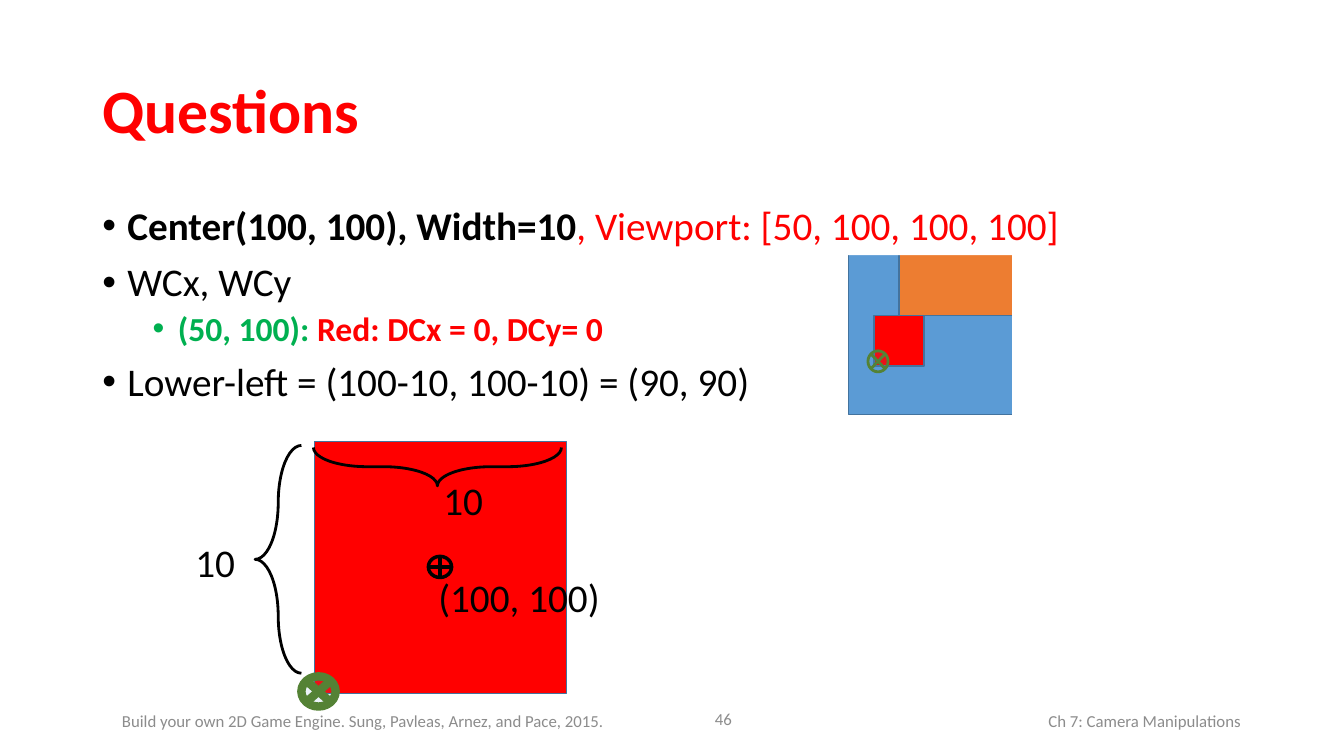
from lxml import etree
from pptx import Presentation
from pptx import util as u
from pptx.dml import color
from pptx.enum import shapes, text
from pptx.oxml import ns

COLORS = {
    "red": "FF0000", "blue": "5B9BD5", "orange": "ED7D31", "edge": "43739E",
    "white": "FFFFFF", "black": "000000", "green": "00B050",
    "marker": "548235", "footer": "8C8C8C",
}


class SlideBuilder:
    """Draws styled elements on one slide, with lengths in points."""

    font = "Calibri"

    def __init__(self, slide):
        self.slide = slide

    def shape(self, kind, box, fill=None, line=None, width=1, alpha=None,
              rotation=0, adjustments=()):
        shape = self.slide.shapes.add_shape(kind, *map(u.Pt, box))
        shape.shadow.inherit = False
        shape.rotation = rotation
        for index, value in enumerate(adjustments):
            shape.adjustments[index] = value
        if fill:
            shape.fill.solid()
            shape.fill.fore_color.rgb = color.RGBColor.from_string(COLORS[fill])
        else:
            shape.fill.background()
        if alpha:
            fill_color = shape.fill._xPr.find(".//" + ns.qn("a:srgbClr"))
            etree.SubElement(fill_color, ns.qn("a:alpha"), val=str(alpha * 1000))
        if line:
            shape.line.color.rgb = color.RGBColor.from_string(COLORS[line])
            shape.line.width = u.Pt(width)
        else:
            shape.line.fill.background()

    def rectangle(self, box, fill, line="edge"):
        self.shape(shapes.MSO_SHAPE.RECTANGLE, box, fill, line)

    def marker(self, box, width):
        self.shape(shapes.MSO_SHAPE.FLOWCHART_SUMMING_JUNCTION, box,
                   "blue", "marker", width, alpha=12)

    def brace(self, box, rotation=0):
        self.shape(shapes.MSO_SHAPE.LEFT_BRACE, box, line="black", width=2,
                   rotation=rotation, adjustments=(1.4, 0.5))

    def text_frame(self, box, anchor=text.MSO_ANCHOR.TOP):
        frame = self.slide.shapes.add_textbox(*map(u.Pt, box)).text_frame
        frame.word_wrap = True
        frame.vertical_anchor = anchor
        return frame

    def add_run(self, paragraph, words, size, fill, bold=False):
        run = paragraph.add_run()
        run.text = words
        run.font.name = self.font
        run.font.size = u.Pt(size)
        run.font.bold = bold
        run.font.color.rgb = color.RGBColor.from_string(COLORS[fill])

    def line_of_text(self, box, words, size, fill, bold=False, spacing=0.9,
                     align=text.PP_ALIGN.LEFT, anchor=text.MSO_ANCHOR.MIDDLE):
        paragraph = self.text_frame(box, anchor).paragraphs[0]
        paragraph.alignment = align
        paragraph.line_spacing = spacing
        self.add_run(paragraph, words, size, fill, bold)

    def label(self, left, top, words):
        self.line_of_text((left, top, 138, 54), words, 28, "black",
                          anchor=text.MSO_ANCHOR.TOP)

    def footer(self, box, words, align=text.PP_ALIGN.LEFT):
        self.line_of_text(box, words, 12, "footer", spacing=1, align=align)

    def bullets(self, box, items):
        frame = self.text_frame(box)
        for index, (level, runs) in enumerate(items):
            paragraph = frame.add_paragraph() if index else frame.paragraphs[0]
            paragraph.level = level
            paragraph.line_spacing = 0.9
            paragraph.space_before = u.Pt(5 if level else 10)
            properties = paragraph._p.get_or_add_pPr()
            properties.set("marL", str(u.Pt(18 + 36 * level)))
            properties.set("indent", str(u.Pt(-18)))
            etree.SubElement(properties, ns.qn("a:buFont"), typeface="Arial")
            etree.SubElement(properties, ns.qn("a:buChar"), char="•")
            for words, fill, bold in runs:
                self.add_run(paragraph, words, 24 if level else 28, fill, bold)


def main():
    presentation = Presentation()
    presentation.slide_width = u.Pt(960)
    presentation.slide_height = u.Pt(540)
    builder = SlideBuilder(
        presentation.slides.add_slide(presentation.slide_layouts[6]))

    right = text.PP_ALIGN.RIGHT
    builder.footer((547.2, 500.4, 346.3, 28.8), "Ch 7: Camera Manipulations", right)
    builder.footer((80, 500.4, 363.6, 28.8),
                   "Build your own 2D Game Engine. Sung, Pavleas, Arnez, and Pace, 2015.")
    builder.footer((444.2, 499, 85.7, 28.8), "46", right)

    builder.rectangle((606.2, 8, 350, 288), "blue")
    builder.rectangle((642.2, 9.4, 144, 216), "orange")
    builder.rectangle((624.2, 225.4, 36, 36), "red")
    builder.rectangle((579, 0, 381, 182.2), "white", None)
    builder.rectangle((723, 151.2, 237, 226.8), "white", None)

    builder.line_of_text((66, 28.8, 828, 104.4), "Questions", 44, "red", True)
    builder.bullets((66, 144, 828, 342.7), [
        (0, [("Center(100, 100), Width=10", "black", True),
             (", Viewport: [50, 100, 100, 100]", "red", False)]),
        (0, [("WCx, WCy", "black", False)]),
        (1, [("(50, 100): ", "green", True),
             ("Red: DCx = 0, DCy= 0", "red", True)]),
        (0, [("Lower-left = (100-10, 100-10) = (90, 90)", "black", False)]),
    ])
    builder.marker((620, 250.6, 14.4, 15), 2)

    builder.rectangle((224.6, 315.4, 180, 180), "red")
    builder.shape(shapes.MSO_SHAPE.FLOWCHART_OR, (306, 397.4, 16.6, 15.1),
                  line="black", width=2.5)
    builder.brace((182.2, 318.2, 33.1, 162.7))
    builder.brace((298.8, 244.8, 27.4, 177.1), rotation=270)
    builder.marker((215.3, 483.1, 24.5, 21.6), 6)
    builder.label(306, 409.7, "(100, 100)")
    builder.label(132.5, 384.5, "10")
    builder.label(309.6, 340.6, "10")

    presentation.save("out.pptx")


if __name__ == "__main__":
    main()
